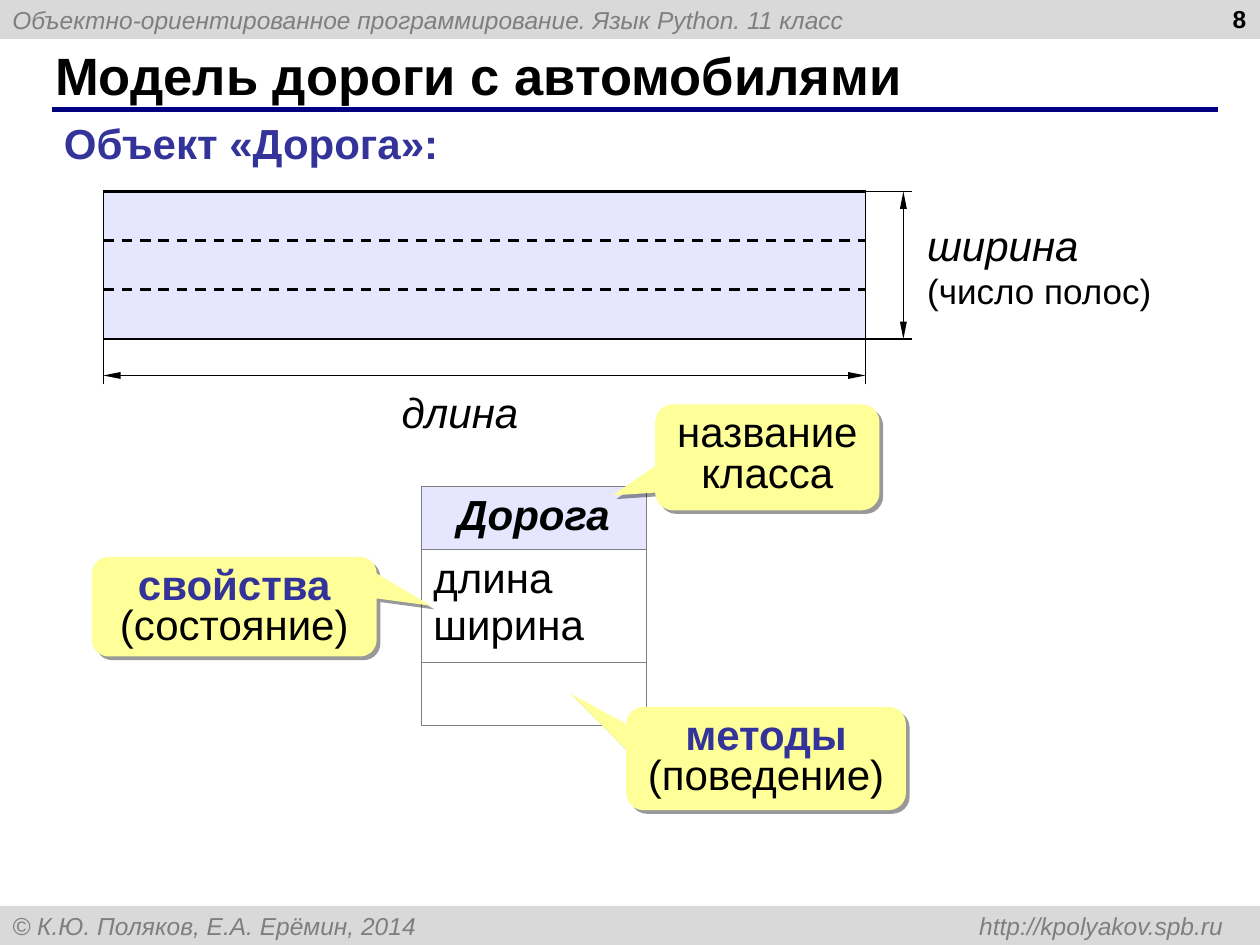
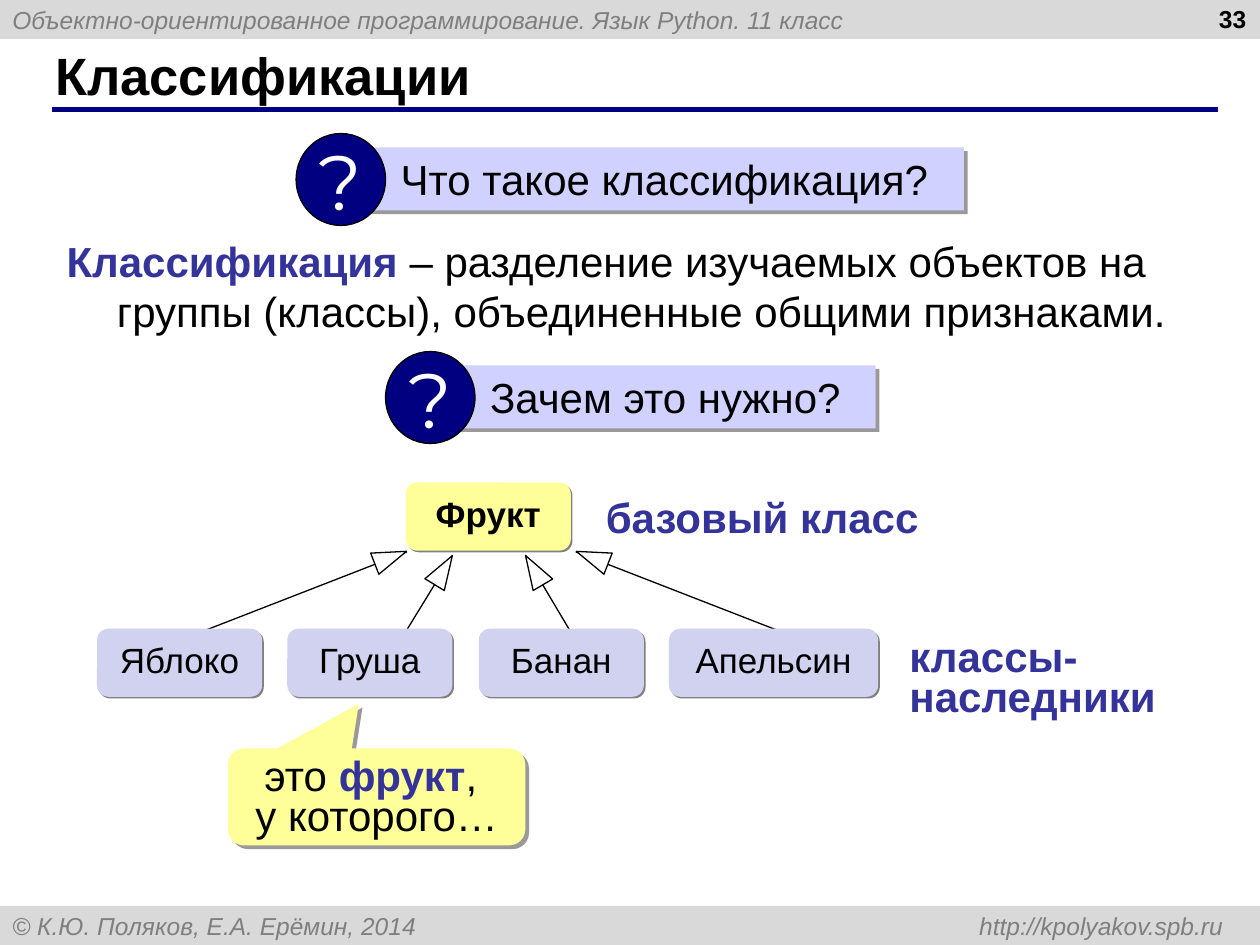
from dataclasses import dataclass
from math import atan2, degrees, hypot

from lxml import etree
from pptx import Presentation
from pptx import util as u
from pptx.dml.color import RGBColor
from pptx.enum import dml, shapes, text
from pptx.oxml import ns

SCALE = 9144  # EMU per px, 100 px to the inch

BLACK = RGBColor(0x00, 0x00, 0x00)
WHITE = RGBColor(0xFF, 0xFF, 0xFF)
NAVY = RGBColor(0x00, 0x00, 0x80)
BLUE = RGBColor(0x33, 0x33, 0x99)
BAND = RGBColor(0xD9, 0xD9, 0xD9)
GREY = RGBColor(0x7F, 0x7F, 0x7F)
MIST = RGBColor(0xE6, 0xE6, 0xFF)
LILAC = RGBColor(0xD1, 0xD1, 0xFF)
HEIR = RGBColor(0xD1, 0xD1, 0xF0)
YELLOW = RGBColor(0xFF, 0xFF, 0x99)

KIND = shapes.MSO_SHAPE
LEFT, MID, RIGHT = text.PP_ALIGN.LEFT, text.PP_ALIGN.CENTER, text.PP_ALIGN.RIGHT


@dataclass(frozen=True)
class Box:
    x: int
    y: int
    w: int
    h: int

    def emu(self) -> list[u.Emu]:
        return [px(n) for n in (self.x, self.y, self.w, self.h)]


@dataclass(frozen=True)
class Run:
    text: str
    size: int = 24
    color: RGBColor = BLACK
    bold: bool = False
    ital: bool = False
    font: str = "Arial"


@dataclass(frozen=True)
class Shade:
    color: RGBColor
    alpha: int
    dist: float


@dataclass(frozen=True)
class Call:
    box: Box
    tip: tuple[float, float]
    paras: list[list[Run]]


@dataclass(frozen=True)
class Node:
    name: str
    x: int
    w: int
    foot: tuple[int, int]
    tip: tuple[int, int]


SOFT = Shade(BLACK, 40, 3)
HARD = Shade(RGBColor(0x80, 0x80, 0x80), 100, 1.4)


def px(n: float) -> u.Emu:
    return u.Emu(round(n * SCALE))


def sub(parent, tag: str, **attrs: str):
    return etree.SubElement(parent, ns.qn(tag), attrs)


# Text
def write(frame, paras: list[list[Run]], align=LEFT, space: float = 1.0) -> None:
    for i, runs in enumerate(paras):
        para = frame.paragraphs[0] if i == 0 else frame.add_paragraph()
        para.alignment = align
        para.line_spacing = space
        for item in runs:
            if item.text.startswith("\v"):
                para.add_line_break()
            run = para.add_run()
            run.text = item.text.lstrip("\v")
            font = run.font
            font.name, font.size = item.font, u.Pt(item.size)
            font.bold, font.italic = item.bold, item.ital
            font.color.rgb = item.color


def label(slide, box: Box, paras: list[list[Run]], align=LEFT,
          space: float = 1.0, middle: bool = False):
    frame = slide.shapes.add_textbox(*box.emu()).text_frame
    frame.word_wrap = True
    if middle:
        frame.vertical_anchor = text.MSO_ANCHOR.MIDDLE
    write(frame, paras, align, space)
    return frame


# Shapes and lines
def block(slide, kind, box: Box, fill: RGBColor, paras: list[list[Run]] = [],
          align=MID, space: float = 1.0, middle: bool = False,
          line: bool = False, shade: Shade | None = None):
    shape = slide.shapes.add_shape(kind, *box.emu())
    shape.fill.solid()
    shape.fill.fore_color.rgb = fill
    if line:
        shape.line.color.rgb = BLACK
        shape.line.width = u.Pt(0.75)
    else:
        shape.line.fill.background()
    shape.shadow.inherit = False
    if shade:
        effects = shape._element.spPr.find(ns.qn("a:effectLst"))
        outer = sub(effects, "a:outerShdw", dist=str(u.Pt(shade.dist)),
                    dir="2700000", algn="ctr", rotWithShape="0")
        tone = sub(outer, "a:srgbClr", val=str(shade.color))
        sub(tone, "a:alpha", val=str(shade.alpha * 1000))
    frame = shape.text_frame
    frame.word_wrap = True
    frame.vertical_anchor = text.MSO_ANCHOR.MIDDLE if middle else text.MSO_ANCHOR.TOP
    write(frame, paras, align, space)
    return shape


def rule(slide, start: tuple[int, int], end: tuple[int, int], width: float = 0.75,
         color: RGBColor = BLACK, dash: bool = False, heads: bool = False) -> None:
    line = slide.shapes.add_connector(
        shapes.MSO_CONNECTOR.STRAIGHT, *[px(n) for n in (*start, *end)])
    line.line.color.rgb = color
    line.line.width = u.Pt(width)
    if dash:
        line.line.dash_style = dml.MSO_LINE.DASH
    if heads:
        for tag in ("a:headEnd", "a:tailEnd"):
            sub(line.line._ln, tag, type="triangle", w="sm", len="lg")
    sub(line._element.spPr, "a:effectLst")


def callout(slide, call: Call) -> None:
    shape = block(slide, KIND.ROUNDED_RECTANGULAR_CALLOUT, call.box, YELLOW,
                  call.paras, space=0.8, shade=SOFT)
    shape.adjustments[0], shape.adjustments[1] = call.tip


def inherit(slide, foot: tuple[int, int], tip: tuple[int, int]) -> None:
    """Line with a hollow triangle whose point lies on the tip."""
    wide, long = 18, 27
    dx, dy = tip[0] - foot[0], tip[1] - foot[1]
    back = long / 2 / hypot(dx, dy)
    cx, cy = tip[0] - dx * back, tip[1] - dy * back
    rule(slide, foot, tip)
    box = Box(round(cx - wide / 2), round(cy - long / 2), wide, long)
    head = block(slide, KIND.ISOSCELES_TRIANGLE, box, WHITE, line=True)
    head.rotation = degrees(atan2(dx, -dy))


def ask(slide, box: Box, words: str) -> None:
    bar = block(slide, KIND.RECTANGLE, box, LILAC, [[Run(words)]], LEFT, shade=SOFT)
    bar.text_frame.margin_left = px(28)
    disc = Box(box.x - 55, box.y - 11, 71, 73)
    mark = Run("?", 44, WHITE, font="Montserrat")
    ball = block(slide, KIND.OVAL, disc, NAVY, [[mark]], middle=True, line=True)
    ball.text_frame.word_wrap = False


# Parts common to every slide
def page(deck, title: str, number: int):
    slide = deck.slides.add_slide(deck.slide_layouts[6])
    bands = (
        (0, "Объектно-ориентированное программирование. Язык Python. 11 класс"),
        (719, "© К.Ю. Поляков, Е.А. Ерёмин, 2014 \thttp://kpolyakov.spb.ru"),
    )
    for y, words in bands:
        band = block(slide, KIND.RECTANGLE, Box(0, y, 1000, 31), BAND,
                     [[Run(words, 14, GREY, ital=True)]], LEFT, middle=True)
        props = band.text_frame.paragraphs[0]._p.get_or_add_pPr()
        tabs = sub(props, "a:tabLst")
        sub(tabs, "a:tab", pos=str(px(961)), algn="r")
    rule(slide, (41, 87), (967, 87), 3, NAVY)
    label(slide, Box(34, 33, 916, 52), [[Run(title, 30, bold=True)]], middle=True)
    label(slide, Box(766, -2, 233, 52), [[Run(str(number), 14, bold=True)]], RIGHT)
    return slide


# Class table
def card(slide, box: Box, rows: list[int], cells: list[list[list[Run]]]) -> None:
    table = slide.shapes.add_table(len(rows), 1, *box.emu()).table
    table.first_row = table.horz_banding = False
    for i, (height, paras) in enumerate(zip(rows, cells)):
        table.rows[i].height = px(height)
        cell = table.cell(i, 0)
        write(cell.text_frame, paras, MID if i == 0 else LEFT)
        props = cell._tc.get_or_add_tcPr()
        for side in ("a:lnL", "a:lnR", "a:lnT", "a:lnB"):
            edge = sub(props, side, w=str(u.Pt(0.45)))
            sub(sub(edge, "a:solidFill"), "a:srgbClr", val=str(GREY))
        if i == 0:
            cell.fill.solid()
            cell.fill.fore_color.rgb = MIST
        else:
            cell.fill.background()


def road(deck) -> None:
    slide = page(deck, "Модель дороги с автомобилями", 8)
    label(slide, Box(41, 88, 754, 50), [[Run("Объект «Дорога»:", color=BLUE, bold=True)]])

    # Road with three lanes
    lane = 39
    left, top, right, base = 82, 152, 687, 152 + 3 * lane
    block(slide, KIND.RECTANGLE, Box(left, top, right - left, base - top), MIST, line=True)
    for i in range(4):
        y = top + i * lane
        rule(slide, (left, y), (right, y), 1.5, dash=i in (1, 2))

    # Dimensions
    for x in (left, right):
        rule(slide, (x, 305), (x, base - 2))
    for y in (top, base):
        rule(slide, (724, y), (right - 1, y))
    rule(slide, (left, 298), (right, 298), 0.5, heads=True)
    rule(slide, (717, base), (717, top), 0.5, heads=True)
    label(slide, Box(306, 302, 118, 44), [[Run("длина", ital=True)]], MID)
    label(slide, Box(726, 169, 244, 44),
          [[Run("ширина", ital=True)], [Run("(число полос)", 20)]])

    # Class card and its callouts
    card(slide, Box(334, 386, 179, 190), [50, 90, 50], [
        [[Run("Дорога", bold=True, ital=True)]],
        [[Run("длина")], [Run("ширина")]],
        [],
    ])
    calls = [
        Call(Box(497, 561, 222, 82), (-0.7, -0.63),
             [[Run("методы", color=BLUE, bold=True), Run(" (поведение)")]]),
        Call(Box(73, 442, 226, 79), (0.69, -0.01),
             [[Run("свойства", color=BLUE, bold=True)], [Run("(состояние)")]]),
        Call(Box(520, 321, 178, 84), (-0.69, 0.36), [[Run("название класса")]]),
    ]
    for call in calls:
        callout(slide, call)


def classes(deck) -> None:
    slide = page(deck, "Классификации", 33)

    # Definition and questions
    frame = label(slide, Box(43, 182, 925, 90), [[
        Run("Классификация", color=BLUE, bold=True),
        Run(" – разделение изучаемых объектов на группы (классы), "
            "объединенные общими признаками."),
    ]])
    props = frame.paragraphs[0]._p.get_or_add_pPr()
    props.set("marL", str(px(40)))
    props.set("indent", str(px(-40)))
    ask(slide, Box(290, 117, 475, 50), "Что такое классификация?")
    ask(slide, Box(361, 290, 334, 50), "Зачем это нужно?")

    # Class tree
    nodes = [
        Node("Яблоко", 77, 131, (161, 501), (323, 438)),
        Node("Груша", 228, 131, (321, 503), (359, 441)),
        Node("Банан", 380, 131, (455, 505), (417, 441)),
        Node("Апельсин", 531, 166, (619, 501), (457, 438)),
    ]
    for node in nodes:
        inherit(slide, node.foot, node.tip)
    for node in nodes:
        block(slide, KIND.ROUNDED_RECTANGLE, Box(node.x, 499, node.w, 54), HEIR,
              [[Run(node.name, 20)]], shade=HARD)
    block(slide, KIND.ROUNDED_RECTANGLE, Box(322, 383, 131, 54), YELLOW,
          [[Run("Фрукт", 20, bold=True)]], shade=HARD)

    # Notes beside the tree
    label(slide, Box(471, 385, 296, 54), [[Run("базовый класс", color=BLUE, bold=True)]])
    label(slide, Box(712, 503, 264, 84),
          [[Run("классы-наследники", color=BLUE, bold=True)]], space=0.8)
    callout(slide, Call(Box(181, 594, 236, 77), (-0.06, -0.96), [[
        Run("это "), Run("фрукт", color=BLUE, bold=True), Run(", "),
        Run("\vу которого…"),
    ]]))


def main() -> None:
    deck = Presentation()
    deck.slide_width, deck.slide_height = px(1000), px(750)
    road(deck)
    classes(deck)
    deck.save("out.pptx")


if __name__ == "__main__":
    main()
